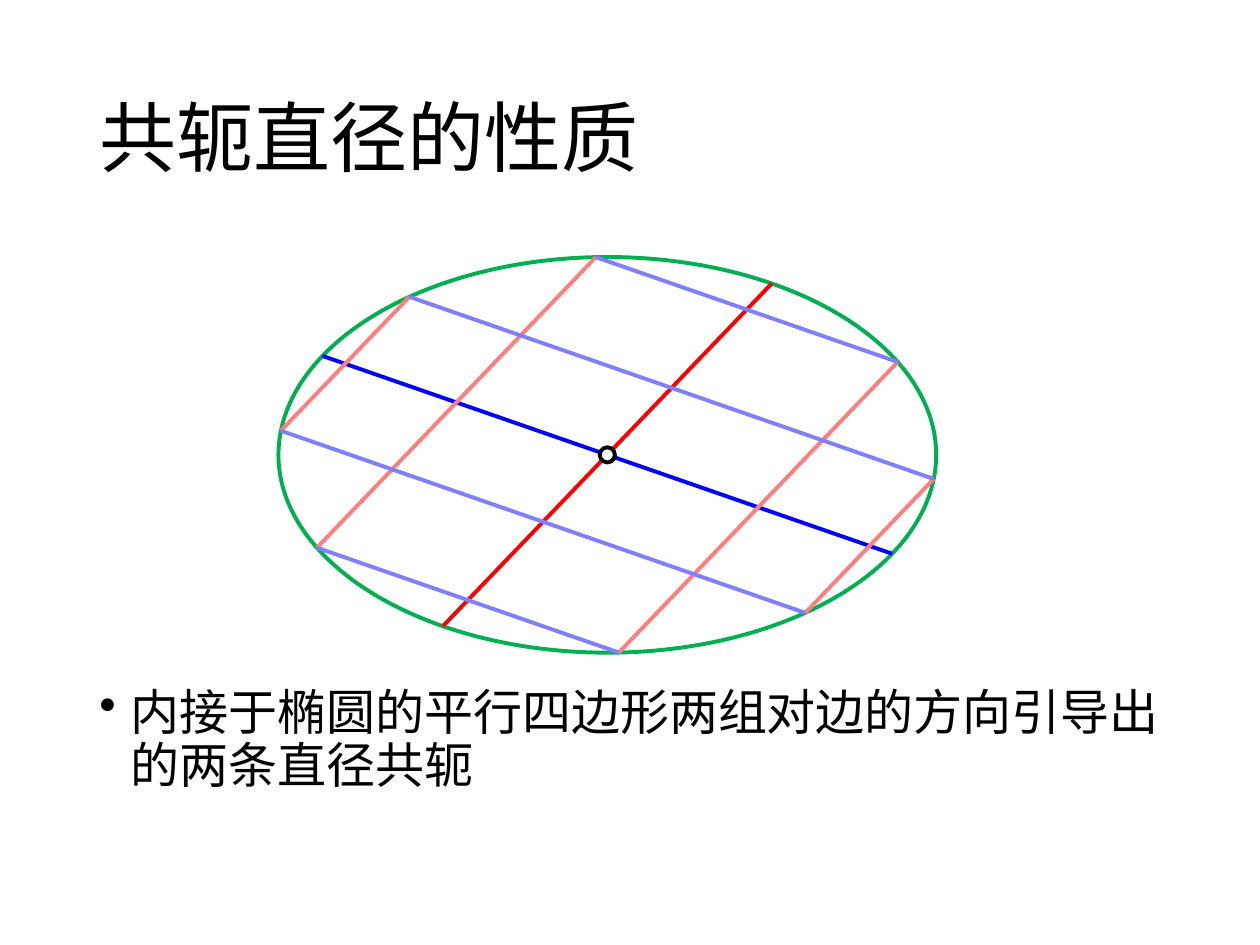
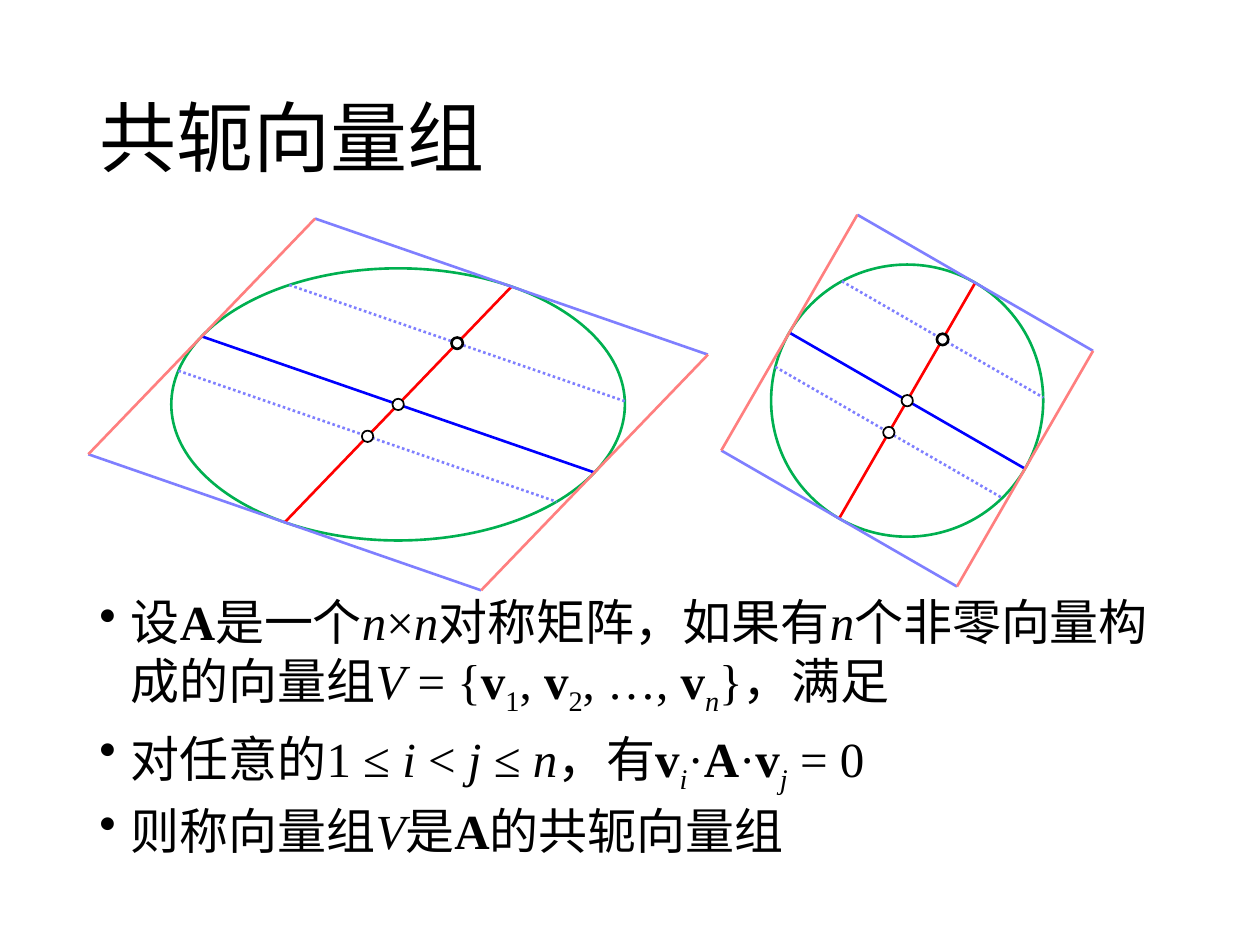
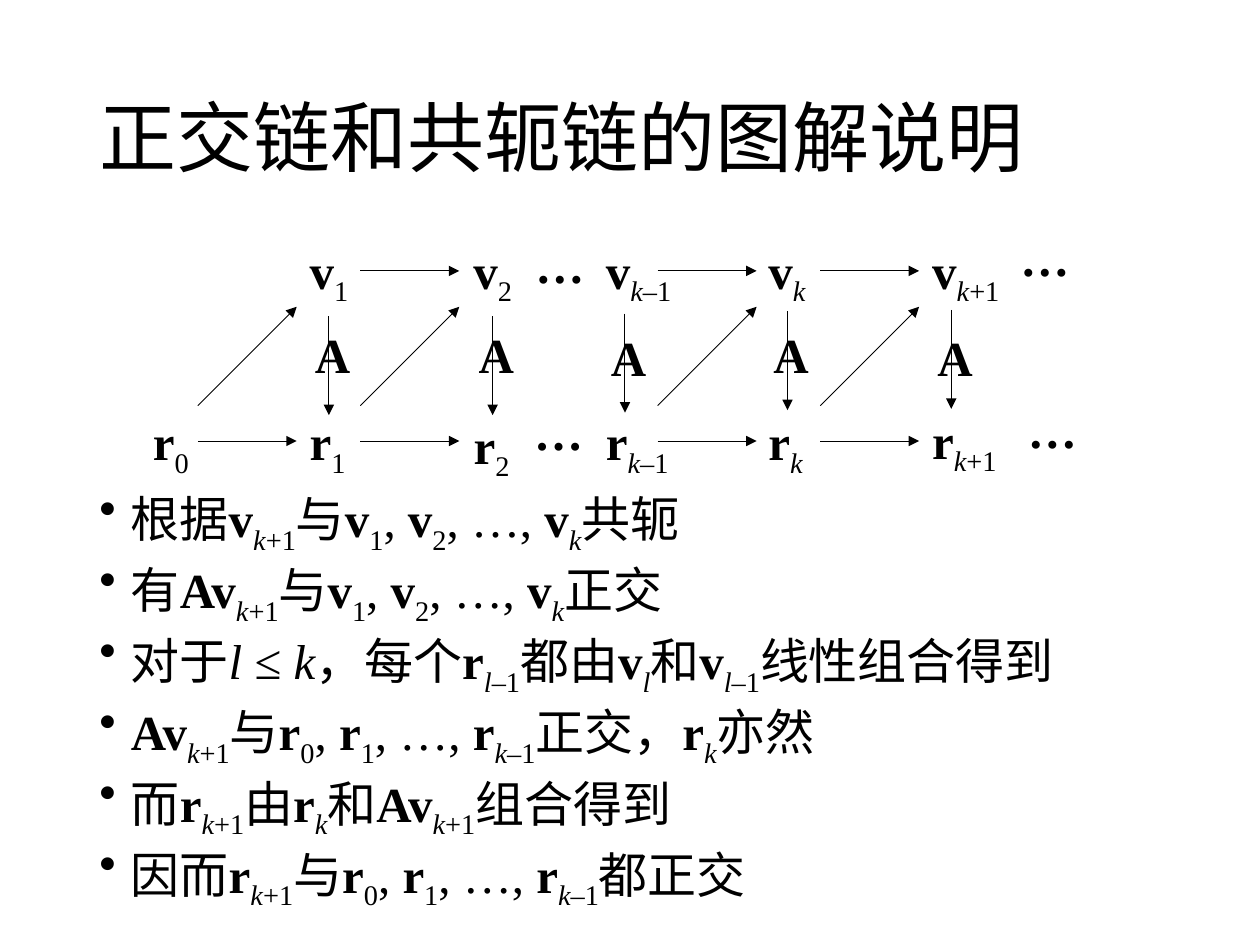
import itertools
import math
import lxml.etree
import pptx
import pptx.dml.color
import pptx.enum.dml
import pptx.enum.shapes
import pptx.enum.text
import pptx.oxml.ns
import pptx.util

HUES = {"ink": "000000", "paper": "FFFFFF", "curve": "00B050", "red": "FF0000",
        "blue": "0000FF", "pink": "FF7F7F", "pale": "7F7FFF"}
HAN, ROMAN = "Noto Sans CJK SC", "Times New Roman"
COLS, ROWS = 100, 75
TILT = math.radians(60)


def tag(base, name, **vals):
    node = lxml.etree.SubElement(base, pptx.oxml.ns.qn(name))
    for key, val in vals.items():
        node.set(key, val)
    return node


def hue(name):
    return pptx.dml.color.RGBColor.from_string(HUES[name])


class Deck:
    def __init__(self):
        self.prs = pptx.Presentation()
        self.prs.slide_width = pptx.util.Inches(10)
        self.prs.slide_height = pptx.util.Inches(7.5)
        self.slide = self.shapes = None

    def col(self, n):
        return round(self.prs.slide_width * n / COLS)

    def row(self, n):
        return round(self.prs.slide_height * n / ROWS)

    def page(self, title):
        self.slide = self.prs.slides.add_slide(self.prs.slide_layouts[6])
        self.shapes = self.slide.shapes
        frame = self.frame(6.9, 4, 86.2, 14.5)
        frame.vertical_anchor = pptx.enum.text.MSO_ANCHOR.MIDDLE
        self.words(frame.paragraphs[0], title, HAN, 44).line_spacing = 0.9

    def frame(self, left, top, wide, high, wrap=True):
        box = self.shapes.add_textbox(self.col(left), self.row(top), self.col(wide), self.row(high))
        box.text_frame.word_wrap = wrap
        return box.text_frame

    def words(self, para, text, face=ROMAN, size=28):
        font = para.font
        font.name, font.size = face, pptx.util.Pt(size)
        font.color.rgb = hue("ink")
        props = para._p.get_or_add_pPr().find(pptx.oxml.ns.qn("a:defRPr"))
        tag(props, "a:ea", typeface=HAN)
        modes = set()
        for mark, part in itertools.groupby(text, lambda c: c in "*/_"):
            if mark:
                modes ^= set(part)
                continue
            run = para.add_run()
            run.text = "".join(part)
            if "*" in modes:
                run.font.bold = True
            if "/" in modes:
                run.font.italic = True
            if "_" in modes:
                run._r.get_or_add_rPr().set("baseline", "-25000")
        return para

    def body(self, top, high, items, face=ROMAN, space=0.9):
        frame = self.frame(6.9, top, 86.2, high)
        for n, item in enumerate(items):
            para = frame.add_paragraph() if n else frame.paragraphs[0]
            para.line_spacing, para.space_before = space, pptx.util.Pt(10)
            props = para._p.get_or_add_pPr()
            props.set("marL", str(pptx.util.Inches(0.25)))
            props.set("indent", str(-pptx.util.Inches(0.25)))
            tag(props, "a:buChar", char="•")
            self.words(para, item, face)

    def label(self, left, top, wide, text, high=5.7):
        frame = self.frame(left, top, wide, high, wrap=False)
        frame.auto_size = pptx.enum.text.MSO_AUTO_SIZE.SHAPE_TO_FIT_TEXT
        return self.words(frame.paragraphs[0], text)

    def line(self, start, end, color="ink", width=0.5, dots=False, arrow=False):
        link = self.shapes.add_connector(
            pptx.enum.shapes.MSO_CONNECTOR.STRAIGHT, self.col(start[0]), self.row(start[1]),
            self.col(end[0]), self.row(end[1]))
        link.line.color.rgb = hue(color)
        link.line.width = pptx.util.Pt(width)
        if dots:
            link.line.dash_style = pptx.enum.dml.MSO_LINE.ROUND_DOT
        if arrow:
            tag(link.line._get_or_add_ln(), "a:tailEnd", type="triangle")
        tag(link._element.spPr, "a:effectLst")

    def oval(self, mid, radii, color, width, fill=None):
        (x, y), (a, b) = mid, radii
        shape = self.shapes.add_shape(
            pptx.enum.shapes.MSO_SHAPE.OVAL, self.col(x - a), self.row(y - b),
            self.col(2 * a), self.row(2 * b))
        shape.shadow.inherit = False
        shape.line.color.rgb = hue(color)
        shape.line.width = pptx.util.Pt(width)
        if fill:
            shape.fill.solid()
            shape.fill.fore_color.rgb = hue(fill)
        else:
            shape.fill.background()

    def arrow(self, x, y, dx, dy):
        self.line((x, y), (x + dx, y + dy), arrow=True)


class Figure:
    def __init__(self, deck, mid, radii, width):
        self.deck, self.mid, self.radii, self.width = deck, mid, radii, width
        deck.shapes = deck.slide.shapes.add_group_shape().shapes
        deck.oval(mid, radii, "curve", width)

    def at(self, red, blue):
        x = red * math.cos(TILT) - blue * math.sin(TILT)
        y = red * math.sin(TILT) + blue * math.cos(TILT)
        return self.mid[0] + self.radii[0] * x, self.mid[1] - self.radii[1] * y

    def line(self, start, end, color, dots=False):
        self.deck.line(self.at(*start), self.at(*end), color, self.width, dots)

    def along(self, red, blue, color="pink"):
        for side in (blue, -blue):
            self.line((red, side), (-red, side), color)

    def across(self, red, blue, color="pale"):
        for side in (red, -red):
            self.line((side, blue), (side, -blue), color)

    def chord(self, red):
        half = math.sqrt(1 - red * red)
        self.line((red, half), (red, -half), "pale", dots=True)

    def dot(self, red, size, width):
        self.deck.oval(self.at(red, 0), (size / 2, size / 2), "ink", width, "paper")


def inscribed(deck):
    deck.page("共轭直径的性质")
    deck.body(54.1, 13.4, ["内接于椭圆的平行四边形两组对边的方向引导出的两条直径共轭"], HAN)
    fig = Figure(deck, (48.2, 36.1), (26.1, 15.7), 2.25)
    fig.line((1, 0), (-1, 0), "red")
    fig.line((0, 1), (0, -1), "blue")
    for angle in (32, 67):
        red, blue = math.cos(math.radians(angle)), math.sin(math.radians(angle))
        fig.along(red, blue)
        fig.across(red, blue)
    fig.dot(0, 1.2, 2.25)


def tangent(deck):
    deck.page("共轭向量组")
    deck.body(47, 20.6, [
        "设*A*是一个/n/×/n/对称矩阵，如果有/n/个非零向量构成的向量组"
        "/V/ = {*v*_1_, *v*_2_, …, *v*_/n/_}，满足",
        "对任意的1 ≤ /i/ < /j /≤ /n/，有*v*_/i/_·*A*·*v*_/j/_ = 0",
        "则称向量组/V/是*A*的共轭向量组"])
    for mid, radii in (((31.6, 32.1), (18, 10.8)), ((72, 31.8), (10.8, 10.8))):
        fig = Figure(deck, mid, radii, 1.5)
        fig.line((1, 0), (-1, 0), "red")
        for red in (0.52, -0.27):
            fig.chord(red)
        fig.line((0, 1), (0, -1), "blue")
        fig.across(1, 1)
        for red, width in ((0.52, 1.5), (-0.27, 1), (0, 1)):
            fig.dot(red, 0.9, width)
        fig.along(1, 1)


def chains(deck):
    deck.page("正交链和共轭链的图解说明")
    deck.body(38.8, 32.8, [
        "根据*v*_/k/+1_与*v*_1_, *v*_2_, …, *v*_/k/_共轭",
        "有*Av*_/k/+1_与*v*_1_, *v*_2_, …, *v*_/k/_正交",
        "对于/l /≤ /k/，每个*r*_/l/–1_都由*v*_/l/_和*v*_/l/–1_线性组合得到",
        "*Av*_/k/+1_与*r*_0_, *r*_1_, …, *r*_/k/–1_正交，*r*_/k/_亦然",
        "而*r*_/k/+1_由*r*_/k/_和*Av*_/k/+1_组合得到",
        "因而*r*_/k/+1_与*r*_0_, *r*_1_, …, *r*_/k/–1_都正交"], space=0.8)
    step = 7.85
    first = deck.label(11, 32.2, 5.1, "*r*_0_")
    first.alignment = pptx.enum.text.PP_ALIGN.CENTER
    terms = (("1", 23.6, 5.3, 5.9, 32.2, 25.3, 25.1),
             ("2", 36.6, 5.3, 5.1, 32.5, 25.3, 25.1),
             ("/k/–1", 47.1, 7.8, 7.5, 32.2, 25.5, 24.9),
             ("/k/", 60, 5.3, 5.1, 32.2, 25.3, 24.7),
             ("/k/+1", 73, 7.9, 7.7, 32.1, 25.5, 24.6))
    for sub, left, vwide, rwide, low, mid, drop in terms:
        deck.label(left, 18.6, vwide, f"*v*_{sub}_")
        deck.label(left, low, rwide, f"*r*_{sub}_")
        deck.label(left + 0.4, mid, 4.9, "*A*")
        deck.arrow(left + 2.5, drop, 0, step)
    for left, top in ((41.5, 18.1), (41.4, 31.4), (80, 17.6), (80.6, 31.2)):
        deck.label(left, top, 5.9, "*…*")
    for left in (15.7, 28.6, 52.2, 65.1):
        deck.arrow(left, 35, step, 0)
        deck.arrow(left, 32.2, step, -step)
        if left > 20:
            deck.arrow(left, 21.5, step, 0)


def main():
    deck = Deck()
    for build in (inscribed, tangent, chains):
        build(deck)
    deck.prs.save("out.pptx")


if __name__ == "__main__":
    main()
